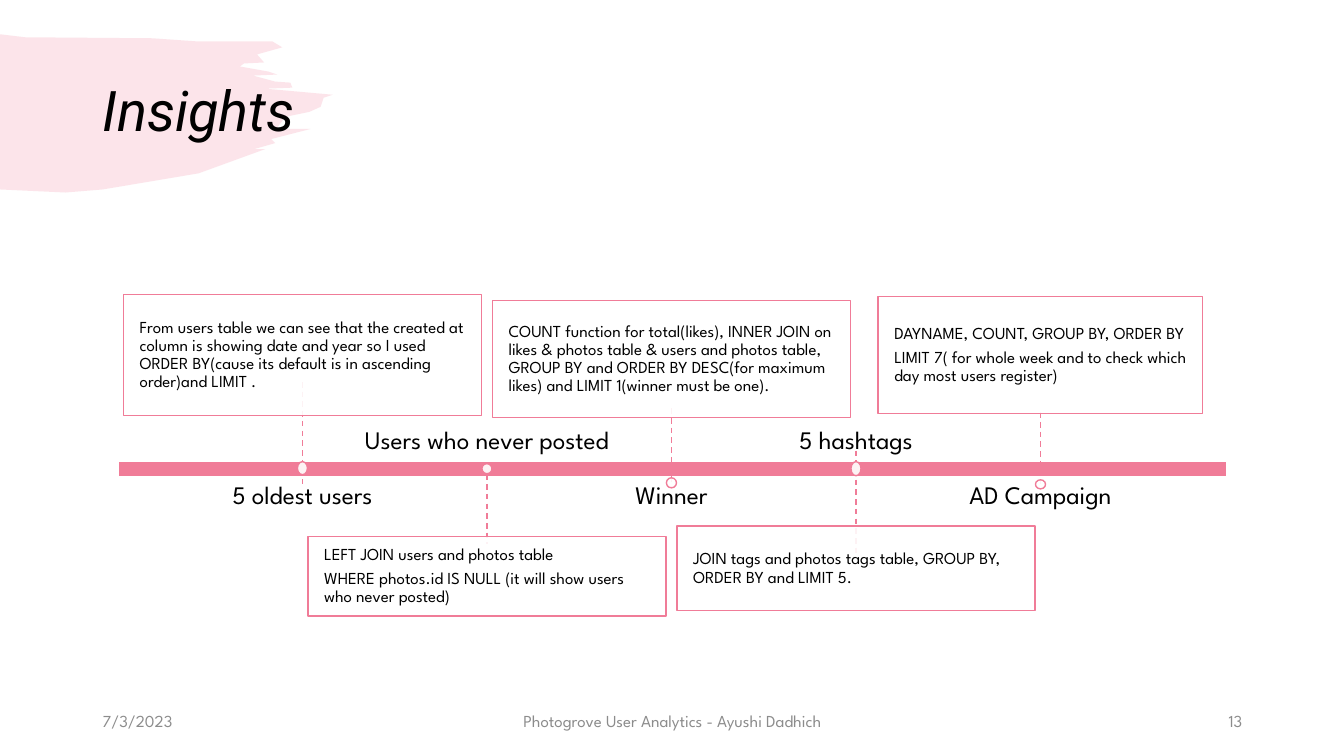
from dataclasses import dataclass

from lxml import etree
from pptx import Presentation
from pptx.dml.color import RGBColor
from pptx.enum.dml import MSO_LINE
from pptx.enum.shapes import MSO_CONNECTOR, MSO_SHAPE
from pptx.enum.text import MSO_ANCHOR, PP_ALIGN
from pptx.oxml.ns import qn
from pptx.util import Inches, Pt

RECT, OVAL = MSO_SHAPE.RECTANGLE, MSO_SHAPE.OVAL
STRAIGHT, DASH = MSO_CONNECTOR.STRAIGHT, MSO_LINE.DASH
TOP, MIDDLE, BOTTOM = MSO_ANCHOR.TOP, MSO_ANCHOR.MIDDLE, MSO_ANCHOR.BOTTOM
LEFT, CENTER, RIGHT = PP_ALIGN.LEFT, PP_ALIGN.CENTER, PP_ALIGN.RIGHT


@dataclass(frozen=True)
class Theme:
    pink: RGBColor = RGBColor(0xF0, 0x7C, 0x98)
    white: RGBColor = RGBColor(0xFF, 0xFF, 0xFF)
    ink: RGBColor = RGBColor(0, 0, 0)
    grey: RGBColor = RGBColor(0x8C, 0x8C, 0x8C)
    heading_font: str = "Roboto"
    body_font: str = "League Spartan"
    title_size: int = 40
    label_size: int = 18
    body_size: int = 12


THEME = Theme()


@dataclass(frozen=True)
class Milestone:
    label: str
    detail: str
    card: tuple  # top, width, height
    stem: tuple  # top, bottom
    marker: tuple  # top, height


FIRST_X, STEP_X = 3.0, 1.83
MARKER_WIDTH = 0.1
MILESTONES = [
    Milestone("5 oldest users",
              "From users table we can see that the created at column is showing date and year "
              "so I used ORDER BY(cause its default is in ascending order)and LIMIT .",
              (2.92, 3.55, 1.2), (3.79, 4.8), (4.58, 0.13)),
    Milestone("Users who never posted",
              "LEFT JOIN users and photos table\n"
              "WHERE photos.id IS NULL (it will show users who never posted)",
              (5.32, 3.55, 0.79), (4.61, 5.4), (4.6, 0.1)),
    Milestone("Winner",
              "COUNT function for total(likes), INNER JOIN on likes & photos table & users and "
              "photos table, GROUP BY and ORDER BY DESC(for maximum likes) and LIMIT 1(winner "
              "must be one).",
              (2.98, 3.55, 1.16), (4.05, 4.83), (4.74, 0.1)),
    Milestone("5 hashtags",
              "JOIN tags and photos tags table, GROUP BY, ORDER BY and LIMIT 5.",
              (5.22, 3.55, 0.84), (4.47, 5.54), (4.58, 0.14)),
    Milestone("AD Campaign",
              "DAYNAME, COUNT, GROUP BY, ORDER BY\n"
              "LIMIT 7( for whole week and to check which day most users register)",
              (2.94, 3.22, 1.16), (4.09, 4.8), (4.76, 0.09)),
]

# Brush stroke outline: upper edge, ragged tip, lower edge
BRUSH = [
    (0, 0.34), (0.25, 0.37), (1.51, 0.38), (1.94, 0.41), (2.48, 0.41), (2.7, 0.41),
    (2.8, 0.47), (2.55, 0.54), (2.62, 0.62), (2.42, 0.63), (2.38, 0.66), (2.66, 0.71),
    (2.75, 0.74), (2.51, 0.75), (2.73, 0.81), (2.88, 0.82), (2.9, 0.87), (2.63, 0.88),
    (3.3, 0.94), (3.21, 0.97), (3.18, 1.06), (3.07, 1.11), (2.83, 1.16), (2.74, 1.28),
    (3.08, 1.28), (2.69, 1.38), (2.73, 1.42), (2.52, 1.48), (2.63, 1.48),
    (1.97, 1.72), (1.02, 1.88), (0.65, 1.91), (0, 1.88),
]


def paint(shape, fill, opacity=100, line=None):
    shape.shadow.inherit = False
    shape.fill.solid()
    shape.fill.fore_color.rgb = fill
    if opacity < 100:
        color = shape.fill._xPr.find(qn("a:solidFill"))[0]
        etree.SubElement(color, qn("a:alpha"), val=str(opacity * 1000))
    if line is None:
        shape.line.fill.background()
    else:
        shape.line.color.rgb = line
        shape.line.width = Pt(1)


def write(shape, text, size, color=THEME.ink, font=THEME.body_font, align=LEFT, anchor=MIDDLE,
          insets=(0.1, 0.05), spacing=0.9, after=0, italic=False):
    frame = shape.text_frame
    frame.word_wrap = True
    frame.vertical_anchor = anchor
    frame.margin_left = frame.margin_right = Inches(insets[0])
    frame.margin_top = frame.margin_bottom = Inches(insets[1])
    frame.text = text
    for paragraph in frame.paragraphs:
        paragraph.alignment = align
        paragraph.line_spacing = spacing
        paragraph.space_after = Pt(after)
        for run in paragraph.runs:
            run.font.name, run.font.size = font, Pt(size)
            run.font.color.rgb, run.font.italic = color, italic


def add_label(slide, box, text, size, **style):
    write(slide.shapes.add_textbox(*map(Inches, box)), text, size, **style)


def add_block(slide, kind, box, fill, opacity=100, line=None):
    block = slide.shapes.add_shape(kind, *map(Inches, box))
    paint(block, fill, opacity, line)
    return block


def add_brush(slide):
    start, *rest = [(Inches(x), Inches(y)) for x, y in BRUSH]
    outline = slide.shapes.build_freeform(*start)
    outline.add_line_segments(rest, close=True)
    paint(outline.convert_to_shape(), THEME.pink, opacity=20)


def add_stem(slide, x, top, bottom):
    stem = slide.shapes.add_connector(STRAIGHT, *map(Inches, (x, top, x, bottom)))
    stem.line.color.rgb = THEME.pink
    stem.line.width = Pt(1)
    stem.line.dash_style = DASH
    etree.SubElement(stem._element.spPr, qn("a:effectLst"))


def add_milestone(slide, index, milestone):
    x = FIRST_X + index * STEP_X
    label_below = index % 2 == 0
    add_stem(slide, x, *milestone.stem)

    top, width, height = milestone.card
    card = add_block(slide, RECT, (x - width / 2, top, width, height),
                     THEME.white, 90, THEME.pink)
    write(card, milestone.detail, THEME.body_size, insets=(0.16, 0.05), after=4)

    label_width = 2.93
    add_label(slide, (x - label_width / 2, 4.79 if label_below else 4.09, label_width, 0.42),
              milestone.label, THEME.label_size, align=CENTER,
              anchor=TOP if label_below else BOTTOM, insets=(0, 0), after=6)

    top, height = milestone.marker
    add_block(slide, OVAL, (x - MARKER_WIDTH / 2, top, MARKER_WIDTH, height),
              THEME.white, 90, THEME.pink)


def main():
    deck = Presentation()
    deck.slide_width, deck.slide_height = Inches(13.33), Inches(7.5)
    slide = deck.slides.add_slide(deck.slide_layouts[6])

    # Heading
    add_brush(slide)
    add_label(slide, (0.92, 0.4, 11.5, 1.45), "Insights", THEME.title_size,
              font=THEME.heading_font, italic=True)

    # Timeline
    add_block(slide, RECT, (1.17, 4.58, 11, 0.15), THEME.pink, line=THEME.white)
    for index, milestone in enumerate(MILESTONES):
        add_milestone(slide, index, milestone)

    # Footer
    for left, width, text, align in [
        (0.92, 3, "7/3/2023", LEFT),
        (4.42, 4.5, "Photogrove User Analytics - Ayushi Dadhich", CENTER),
        (9.42, 3, "13", RIGHT),
    ]:
        add_label(slide, (left, 6.95, width, 0.4), text, THEME.body_size,
                  color=THEME.grey, align=align, spacing=1.0)

    deck.save("out.pptx")


if __name__ == "__main__":
    main()
